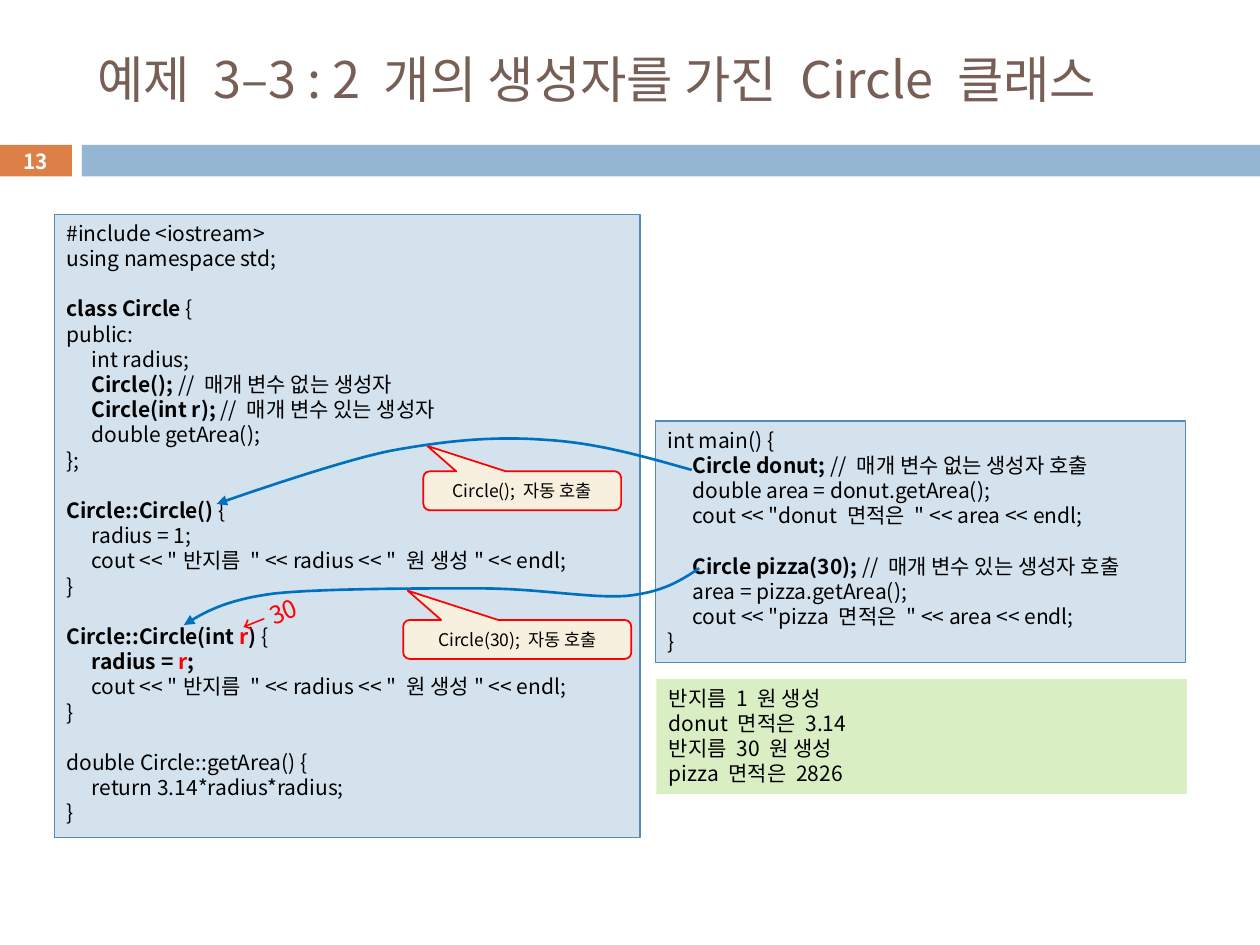
"""Build the slide about a Circle class with two constructors."""
from lxml import etree
from pptx import Presentation
from pptx.dml.color import RGBColor
from pptx.enum.shapes import MSO_SHAPE
from pptx.enum.text import MSO_ANCHOR, PP_ALIGN
from pptx.oxml.ns import qn
from pptx.util import Inches, Pt

RECTANGLE = MSO_SHAPE.RECTANGLE
CALLOUT = MSO_SHAPE.ROUNDED_RECTANGULAR_CALLOUT
LEFT, CENTER = PP_ALIGN.LEFT, PP_ALIGN.CENTER
TOP, MIDDLE = MSO_ANCHOR.TOP, MSO_ANCHOR.MIDDLE

FONT = "Noto Sans CJK KR"
LINE_PITCH = Pt(14.4)
TAB_WIDTH = Inches(0.2)
CURVE_STEPS = 16
COLORS = {
    "title": "775F55", "accent": "DD8047", "band": "94B6D2", "code": "D4E2ED",
    "code_line": "558BB8", "output": "DAEEC4", "callout": "F7F0DE",
    "red": "FF0000", "arrow": "0070C0", "black": "000000", "white": "FFFFFF",
}

PLAIN, BOLD, MARKED = (False, "black"), (True, "black"), (True, "red")
GAP = None
PRINT_CREATED = '\tcout << "반지름 " << radius << " 원 생성" << endl;'

CLASS_CODE = [
    "#include <iostream>",
    "using namespace std;",
    GAP,
    [("class Circle ", BOLD), ("{", PLAIN)],
    "public:",
    "\tint radius;",
    [("\t", PLAIN), ("Circle(); ", BOLD), ("// 매개 변수 없는 생성자", PLAIN)],
    [("\t", PLAIN), ("Circle(int r); ", BOLD), ("// 매개 변수 있는 생성자", PLAIN)],
    "\tdouble getArea();",
    "};",
    GAP,
    [("Circle::Circle() ", BOLD), ("{", PLAIN)],
    "\tradius = 1;",
    PRINT_CREATED,
    "}",
    GAP,
    [("Circle::Circle(int ", BOLD), ("r", MARKED), (") ", BOLD), ("{", PLAIN)],
    [("\t", PLAIN), ("radius = ", BOLD), ("r", MARKED), (";", BOLD)],
    PRINT_CREATED,
    "}",
    GAP,
    "double Circle::getArea() {",
    "\treturn 3.14*radius*radius;",
    "}",
]
MAIN_CODE = [
    "int main() {",
    [("\t", PLAIN), ("Circle donut; ", BOLD), ("// 매개 변수 없는 생성자 호출", PLAIN)],
    "\tdouble area = donut.getArea();",
    '\tcout << "donut 면적은 " << area << endl;',
    GAP,
    [("\t", PLAIN), ("Circle pizza(30); ", BOLD), ("// 매개 변수 있는 생성자 호출", PLAIN)],
    "\tarea = pizza.getArea();",
    '\tcout << "pizza 면적은 " << area << endl;',
    "}",
]
OUTPUT = ["반지름 1 원 생성", "donut 면적은 3.14", "반지름 30 원 생성", "pizza 면적은 2826"]

DEFAULT_CALL_CURVE = [
    (5.49, 3.73), (5.1, 3.62), (4.72, 3.51), (4.31, 3.49), (3.91, 3.46),
    (3.52, 3.5), (3.09, 3.58), (2.65, 3.67), (1.72, 4), (1.72, 4),
]
RADIUS_CALL_CURVE = [
    (5.55, 4.51), (5.4, 4.61), (5.26, 4.7), (4.97, 4.73), (4.68, 4.75),
    (4.27, 4.67), (3.81, 4.67), (3.34, 4.67), (2.57, 4.67), (2.18, 4.71),
    (1.79, 4.76), (1.62, 4.86), (1.46, 4.96),
]


def color(name):
    """Return the named colour."""
    return RGBColor.from_string(COLORS[name])


def add_span(para, text, size, tone="black", bold=False):
    """Add one formatted run to a paragraph."""
    span = para.add_run()
    span.text = text
    span.font.size = Pt(size)
    span.font.bold = bold
    span.font.color.rgb = color(tone)
    span.font.name = FONT
    etree.SubElement(span.font._element, qn("a:ea"), typeface=FONT)


def write_line(box, text, size, tone="black", bold=False, align=CENTER):
    """Write one line in the vertical middle of a box."""
    box.text_frame.vertical_anchor = MIDDLE
    para = box.text_frame.paragraphs[0]
    para.alignment = align
    add_span(para, text, size, tone, bold)


def add_box(page, place, fill, line=None, width=0.75, kind=RECTANGLE):
    """Add a filled shape with an optional outline."""
    box = page.shapes.add_shape(kind, *map(Inches, place))
    box.shadow.inherit = False
    box.fill.solid()
    box.fill.fore_color.rgb = color(fill)
    if line:
        box.line.color.rgb = color(line)
        box.line.width = Pt(width)
    else:
        box.line.fill.background()
    return box


def add_listing(page, place, lines, fill, line=None):
    """Add a box of code or output lines with tab indents."""
    frame = add_box(page, place, fill, line).text_frame
    frame.word_wrap = True
    frame.vertical_anchor = TOP
    para, after_gap = frame.paragraphs[0], False
    for number, parts in enumerate(lines):
        if parts is GAP:
            after_gap = True
            continue
        if number:
            para = frame.add_paragraph()
        tabs = etree.SubElement(para._p.get_or_add_pPr(), qn("a:tabLst"))
        etree.SubElement(tabs, qn("a:tab"), pos=str(TAB_WIDTH), algn="l")
        para.alignment = LEFT
        para.line_spacing = LINE_PITCH
        if after_gap:
            para.space_before = LINE_PITCH
        after_gap = False
        for text, (bold, tone) in [(parts, PLAIN)] if isinstance(parts, str) else parts:
            add_span(para, text, 12, tone, bold)


def add_callout(page, place, tip, text):
    """Add a rounded callout whose tip is given relative to its size."""
    box = add_box(page, place, "callout", "red", 1, CALLOUT)
    box.adjustments[0], box.adjustments[1] = tip
    write_line(box, text, 10)


def curve_points(knots):
    """Return points along a chain of cubic curves."""
    points = []
    for first in range(0, len(knots) - 1, 3):
        for step in range(1, CURVE_STEPS + 1):
            t = step / CURVE_STEPS
            weights = ((1 - t) ** 3, 3 * t * (1 - t) ** 2, 3 * t * t * (1 - t), t ** 3)
            points.append(tuple(
                Inches(sum(w * knot[axis] for w, knot in zip(weights, knots[first:first + 4])))
                for axis in (0, 1)))
    return points


def add_curved_arrow(page, knots):
    """Add a curved arrow pointing at its last knot."""
    builder = page.shapes.build_freeform(*map(Inches, knots[0]))
    builder.add_line_segments(curve_points(knots), close=False)
    arrow = builder.convert_to_shape()
    arrow.shadow.inherit = False
    arrow.fill.background()
    arrow.line.color.rgb = color("arrow")
    arrow.line.width = Pt(1.5)
    etree.SubElement(arrow._element.spPr.find(qn("a:ln")), qn("a:tailEnd"), type="triangle")


def add_heading(page):
    """Fill the title and add the band with the slide number."""
    title = page.shapes.title
    title.left, title.top, title.width, title.height = map(Inches, (0.67, 0.25, 8.92, 0.74))
    write_line(title, "예제 3–3 : 2 개의 생성자를 가진 Circle 클래스", 28.8, "title", align=LEFT)
    add_box(page, (0.65, 1.15, 9.35, 0.25), "band")
    number = add_box(page, (-0.01, 1.15, 0.58, 0.25), "accent")
    write_line(number, "13", 11.9, "white", bold=True)


def add_argument_note(page):
    """Add the tilted note with the value passed to r."""
    note = page.shapes.add_textbox(*map(Inches, (1.81, 4.72, 0.68, 0.34)))
    note.rotation = 338.1
    write_line(note, "← 30", 14, "red", align=LEFT)


def main():
    """Build and save the deck."""
    deck = Presentation()
    deck.slide_width, deck.slide_height = Inches(10), Inches(7.5)
    page = deck.slides.add_slide(deck.slide_layouts[5])
    add_heading(page)
    add_listing(page, (0.43, 1.7, 4.65, 4.95), CLASS_CODE, "code", "code_line")
    add_listing(page, (5.2, 3.34, 4.21, 1.92), MAIN_CODE, "code", "code_line")
    add_callout(page, (3.2, 4.92, 1.81, 0.31), (-0.48, -1.25), "Circle(30); 자동 호출")
    add_callout(page, (3.36, 3.74, 1.57, 0.31), (-0.48, -1.15), "Circle(); 자동 호출")
    add_argument_note(page)
    add_listing(page, (5.21, 5.39, 4.21, 0.91), OUTPUT, "output")
    add_curved_arrow(page, DEFAULT_CALL_CURVE)
    add_curved_arrow(page, RADIUS_CALL_CURVE)
    deck.save("out.pptx")


if __name__ == "__main__":
    main()
